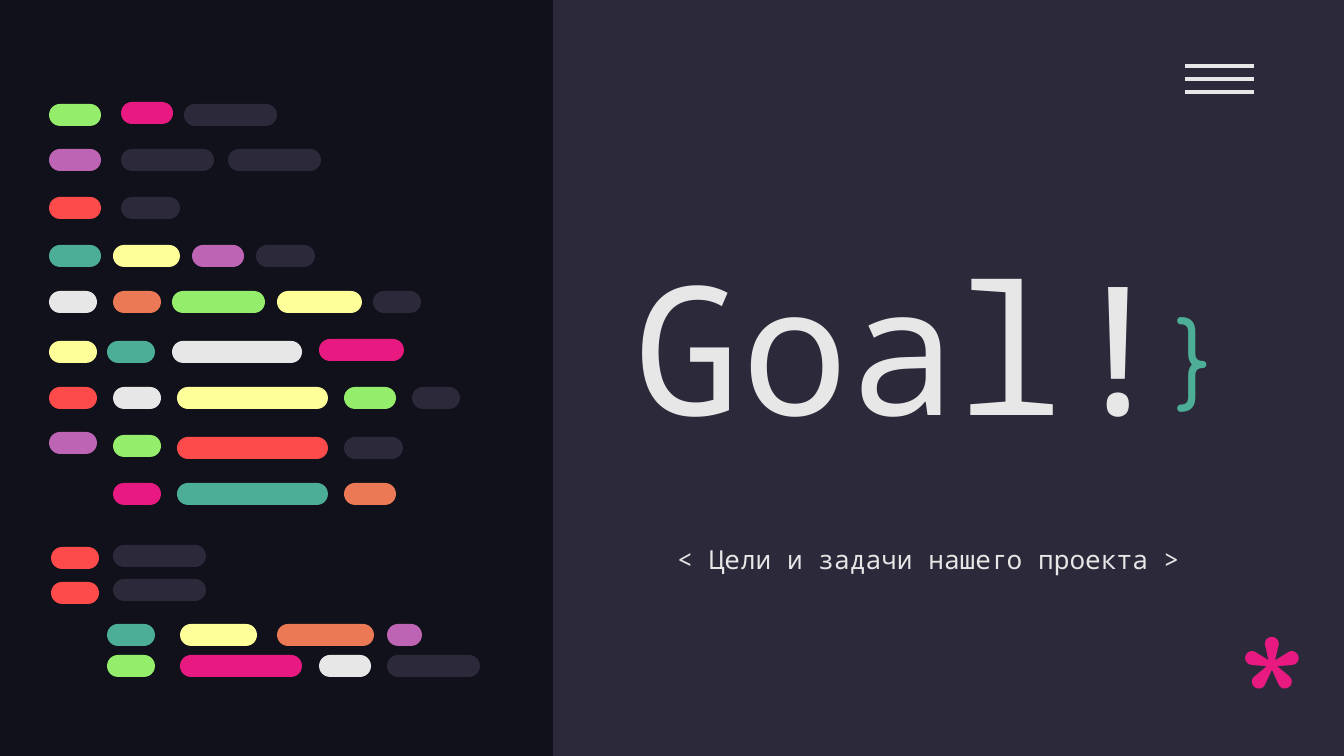
from typing import NamedTuple

import pptx
import pptx.dml.color
import pptx.enum.shapes
import pptx.enum.text
import pptx.oxml
import pptx.util

EMU_PER_PX = 914400 * 10 / 1344
SLIDE_W, SLIDE_H = 1344, 756
PANEL_LEFT = 553
PILL_H = 22

NIGHT = "10111A"
SLATE = "2C293A"
WHITE = "E7E7E7"
GREEN = "94EE6B"
PINK = "E81A81"
PURPLE = "BD64B5"
RED = "FD4A4A"
TEAL = "4CAE97"
YELLOW = "FFFF99"
ORANGE = "EC7955"

MONO = "Noto Sans Mono"
ROUNDED = "Comfortaa"


class Pill(NamedTuple):
    left: int
    width: int
    colour: str
    shift: int = 0  # vertical offset from the row's top


class Row(NamedTuple):
    top: int
    pills: list[Pill]


class Label(NamedTuple):
    text: str
    left: int
    top: int
    width: int
    height: int
    font: str
    size: int
    colour: str
    anchor: pptx.enum.text.MSO_ANCHOR = pptx.enum.text.MSO_ANCHOR.TOP
    spacing: float = 1.0
    fill: str | None = None


CODE_ROWS = [
    Row(104, [Pill(49, 52, GREEN), Pill(121, 52, PINK, -2), Pill(184, 93, SLATE)]),
    Row(149, [Pill(49, 52, PURPLE), Pill(121, 93, SLATE), Pill(228, 93, SLATE)]),
    Row(197, [Pill(49, 52, RED), Pill(121, 59, SLATE)]),
    Row(245, [Pill(49, 52, TEAL), Pill(113, 67, YELLOW), Pill(192, 52, PURPLE),
              Pill(256, 59, SLATE)]),
    Row(291, [Pill(49, 48, WHITE), Pill(113, 48, ORANGE), Pill(172, 93, GREEN),
              Pill(277, 85, YELLOW), Pill(373, 48, SLATE)]),
    Row(341, [Pill(49, 48, YELLOW), Pill(107, 48, TEAL), Pill(172, 130, WHITE),
              Pill(319, 85, PINK, -2)]),
    Row(387, [Pill(49, 48, RED), Pill(113, 48, WHITE), Pill(177, 151, YELLOW),
              Pill(344, 52, GREEN), Pill(412, 48, SLATE)]),
    Row(437, [Pill(49, 48, PURPLE, -5), Pill(113, 48, GREEN, -2), Pill(177, 151, RED),
              Pill(344, 59, SLATE)]),
    Row(483, [Pill(113, 48, PINK), Pill(177, 151, TEAL), Pill(344, 52, ORANGE)]),
    Row(547, [Pill(51, 48, RED), Pill(113, 93, SLATE, -2)]),
    Row(582, [Pill(51, 48, RED), Pill(113, 93, SLATE, -3)]),
    Row(624, [Pill(107, 48, TEAL), Pill(180, 77, YELLOW), Pill(277, 97, ORANGE),
              Pill(387, 35, PURPLE)]),
    Row(655, [Pill(107, 48, GREEN), Pill(180, 122, PINK), Pill(319, 52, WHITE),
              Pill(387, 93, SLATE)]),
]

LABELS = [
    Label("Goal!", 621, 176, 618, 289, MONO, 96, WHITE,
          anchor=pptx.enum.text.MSO_ANCHOR.BOTTOM),
    Label("< Цели и задачи нашего проекта >", 664, 525, 618, 157, MONO, 14, WHITE,
          spacing=1.15, fill=SLATE),
    Label("*", 1224, 585, 77, 117, ROUNDED, 96, PINK),
    Label("}", 1163, 284, 77, 128, ROUNDED, 50, TEAL),
]


def px(n: int) -> pptx.util.Emu:
    return pptx.util.Emu(round(n * EMU_PER_PX))


def rgb(colour: str) -> pptx.dml.color.RGBColor:
    return pptx.dml.color.RGBColor.from_string(colour)


def paint(fill, colour: str) -> None:
    fill.solid()
    fill.fore_color.rgb = rgb(colour)


def add_block(s, kind, left: int, top: int, width: int, height: int, colour: str):
    """Add a flat shape with no outline."""
    block = s.shapes.add_shape(kind, px(left), px(top), px(width), px(height))
    block.shadow.inherit = False
    paint(block.fill, colour)
    block.line.fill.background()
    return block


def add_row(s, row: Row) -> None:
    for pill in row.pills:
        block = add_block(s, pptx.enum.shapes.MSO_SHAPE.ROUNDED_RECTANGLE, pill.left,
                          row.top + pill.shift, pill.width, PILL_H, pill.colour)
        block.adjustments[0] = 0.5


def add_label(s, label: Label) -> None:
    box = s.shapes.add_textbox(px(label.left), px(label.top),
                               px(label.width), px(label.height))
    if label.fill:
        paint(box.fill, label.fill)
    tf = box.text_frame
    tf.word_wrap = True
    tf.vertical_anchor = label.anchor
    tf.margin_left = tf.margin_right = pptx.util.Inches(0.1)
    tf.margin_top = tf.margin_bottom = pptx.util.Inches(0.1)
    p = tf.paragraphs[0]
    p.text = label.text
    p.line_spacing = label.spacing
    p.font.name = label.font
    p.font.size = pptx.util.Pt(label.size)
    p.font.color.rgb = rgb(label.colour)


def add_menu_icon(s, left: int, right: int, top: int, gap: int) -> None:
    for i in range(3):
        y = px(top + i * gap)
        bar = s.shapes.add_connector(pptx.enum.shapes.MSO_CONNECTOR.STRAIGHT,
                                     px(left), y, px(right), y)
        bar.line.width = pptx.util.Pt(2.25)
        bar.line.color.rgb = rgb(WHITE)
        sp_pr = bar._element.spPr
        sp_pr.append(pptx.oxml.parse_xml(
            '<a:effectLst xmlns:a="http://schemas.openxmlformats.org/drawingml/2006/main"/>'))


def main() -> None:
    prs = pptx.Presentation()
    prs.slide_width, prs.slide_height = px(SLIDE_W), px(SLIDE_H)
    s = prs.slides.add_slide(prs.slide_layouts[6])
    paint(s.background.fill, NIGHT)
    add_block(s, pptx.enum.shapes.MSO_SHAPE.RECTANGLE, PANEL_LEFT, 0,
              SLIDE_W - PANEL_LEFT, SLIDE_H, SLATE)
    add_menu_icon(s, left=1185, right=1254, top=66, gap=13)
    for row in CODE_ROWS:
        add_row(s, row)
    for label in LABELS:
        add_label(s, label)
    prs.save("out.pptx")


if __name__ == "__main__":
    main()
